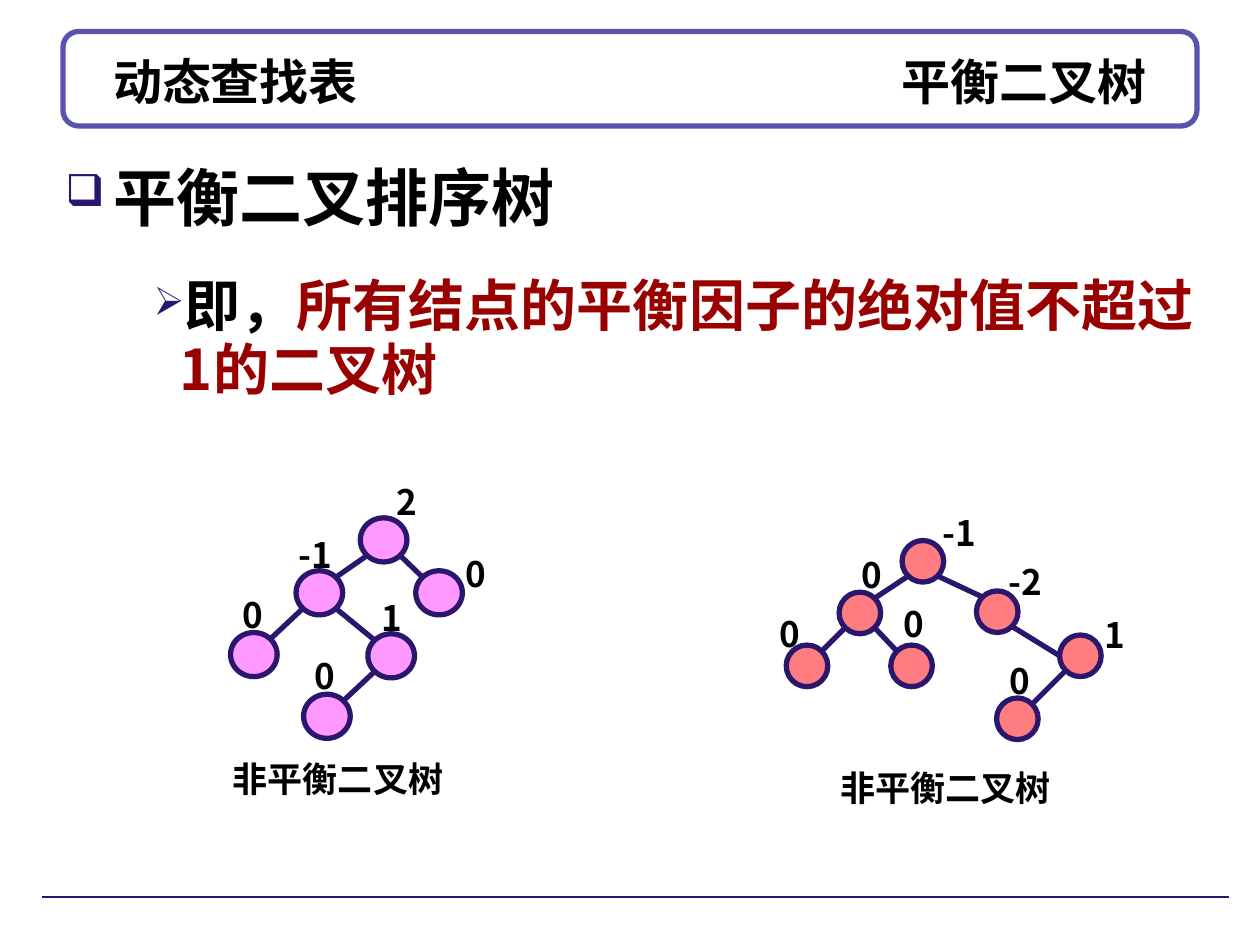
from dataclasses import dataclass
from math import sqrt

from lxml.etree import SubElement
from pptx import Presentation
from pptx.dml.color import RGBColor as RGB
from pptx.enum.shapes import MSO_CONNECTOR as Conn, MSO_SHAPE as Kind
from pptx.enum.text import MSO_ANCHOR as Anchor
from pptx.oxml.ns import qn
from pptx.util import Inches, Pt


@dataclass(frozen=True)
class Theme:
    ink: str = "010103"
    black: str = "000000"
    navy: str = "2B166E"
    frame: str = "5952AE"
    white: str = "FFFFFF"
    red: str = "990000"
    pink: str = "FF99FF"
    coral: str = "FF7C80"
    sans: str = "Noto Sans CJK SC"
    serif: str = "Times New Roman"
    title: int = 28
    head: int = 36
    body: int = 32
    label: int = 20
    thin: float = 0.75
    thick: float = 3


T = Theme()

LEFT = [
    (2.86, 4.11, "2", 3.05, 3.73, None),
    (2.35, 4.53, "-1", 2.27, 4.15, 0),
    (3.3, 4.53, "0", 3.6, 4.3, 0),
    (1.83, 5.02, "0", 1.83, 4.63, 1),
    (2.92, 5.03, "1", 2.93, 4.65, 1),
    (2.41, 5.51, "0", 2.4, 5.11, 4),
]
RIGHT = [
    (7.16, 4.29, "-1", 7.38, 3.98, None),
    (6.66, 4.7, "0", 6.74, 4.31, 0),
    (7.75, 4.69, "-2", 7.91, 4.37, 0),
    (6.24, 5.12, "0", 6.09, 4.78, 1),
    (7.07, 5.12, "0", 7.07, 4.7, 1),
    (8.41, 5.04, "1", 8.67, 4.79, 2),
    (7.91, 5.54, "0", 7.91, 5.15, 5),
]


def style(run, size, font, color):
    run.font.size = Pt(size)
    run.font.bold = True
    run.font.name = font
    run.font.color.rgb = RGB.from_string(color)
    SubElement(run.font._element, qn("a:ea")).set("typeface", T.sans)


def add_text(slide, box, text, size, font=T.sans, color=T.ink, space=1.1):
    frame = slide.shapes.add_textbox(*map(Inches, box)).text_frame
    frame.word_wrap = True
    para = frame.paragraphs[0]
    para.text = text
    para.line_spacing = space
    style(para.runs[0], size, font, color)
    return para


def add_bullet(para, char, margin, indent):
    props = para._p.get_or_add_pPr()
    props.set("marL", str(Inches(margin)))
    props.set("indent", str(Inches(indent)))
    tint = SubElement(props, qn("a:buClr"))
    SubElement(tint, qn("a:srgbClr")).set("val", T.navy)
    SubElement(props, qn("a:buSzPct")).set("val", "70000")
    SubElement(props, qn("a:buChar")).set("char", char)


def add_line(slide, start, end, width):
    line = slide.shapes.add_connector(Conn.STRAIGHT, *map(Inches, start + end))
    line.line.color.rgb = RGB.from_string(T.navy)
    line.line.width = Pt(width)
    SubElement(line._element.spPr, qn("a:effectLst"))


def add_shape(slide, kind, box, fill, edge):
    shape = slide.shapes.add_shape(kind, *map(Inches, box))
    shape.shadow.inherit = False
    shape.fill.solid()
    shape.fill.fore_color.rgb = RGB.from_string(fill)
    shape.line.color.rgb = RGB.from_string(edge)
    shape.line.width = Pt(T.thick)
    return shape


def add_title(slide):
    add_shape(slide, Kind.ROUNDED_RECTANGLE, (0.5, 0.25, 9, 0.75), T.white, T.frame)
    para = add_text(slide, (0.8, 0.33, 8.5, 0.62), "动态查找表\t平衡二叉树",
                    T.title, T.serif, space=1.0)
    tabs = SubElement(para._p.get_or_add_pPr(), qn("a:tabLst"))
    stop = SubElement(tabs, qn("a:tab"))
    stop.set("pos", str(Inches(8.2)))
    stop.set("algn", "r")
    slide.shapes[-1].text_frame.vertical_anchor = Anchor.MIDDLE


def add_tree(slide, nodes, wide, high, fill, slot, hooks=()):
    def point(node, across, down):
        return node[0] + wide / 2 * (1 + across), node[1] + high / 2 * (1 + down)

    diag = 1 / sqrt(2)
    for x, y, *_ in nodes:
        add_shape(slide, Kind.OVAL, (x, y, wide, high), fill, T.navy)
    for spot, node in enumerate(nodes):
        x, y, text, left, top, root = node
        if root is not None:
            above = nodes[root]
            side = diag if x > above[0] else -diag
            end = point(node, -1, 0) if spot in hooks else point(node, -side, -diag)
            add_line(slide, point(above, side, diag), end, T.thick)
        room = slot + 0.25 * (len(text) - 1)
        add_text(slide, (left, top, room, 0.47), text, T.label)


def main():
    deck = Presentation()
    deck.slide_width, deck.slide_height = Inches(10), Inches(7.5)
    slide = deck.slides.add_slide(deck.slide_layouts[6])
    add_title(slide)
    add_line(slide, (0.33, 7.12), (9.75, 7.12), T.thin)

    head = add_text(slide, (0.42, 1.15, 9.3, 0.67), "平衡二叉排序树", T.head, T.serif)
    add_bullet(head, "❑", 0.38, -0.38)
    body = add_text(slide, (0.33, 2.14, 9.25, 1.12), "即，", T.body,
                    color=T.black, space=0.95)
    add_bullet(body, "➢", 1, -0.21)
    rest = body.add_run()
    rest.text = "所有结点的平衡因子的绝对值不超过1的二叉树"
    style(rest, T.body, T.sans, T.red)

    add_tree(slide, LEFT, 0.37, 0.35, T.pink, 0.33)
    add_tree(slide, RIGHT, 0.33, 0.33, T.coral, 0.42, hooks={5})
    for box in ((1.75, 5.93, 2.17, 0.47), (6.57, 6, 2.33, 0.47)):
        add_text(slide, box, "非平衡二叉树", T.label)
    deck.save("out.pptx")


if __name__ == "__main__":
    main()
